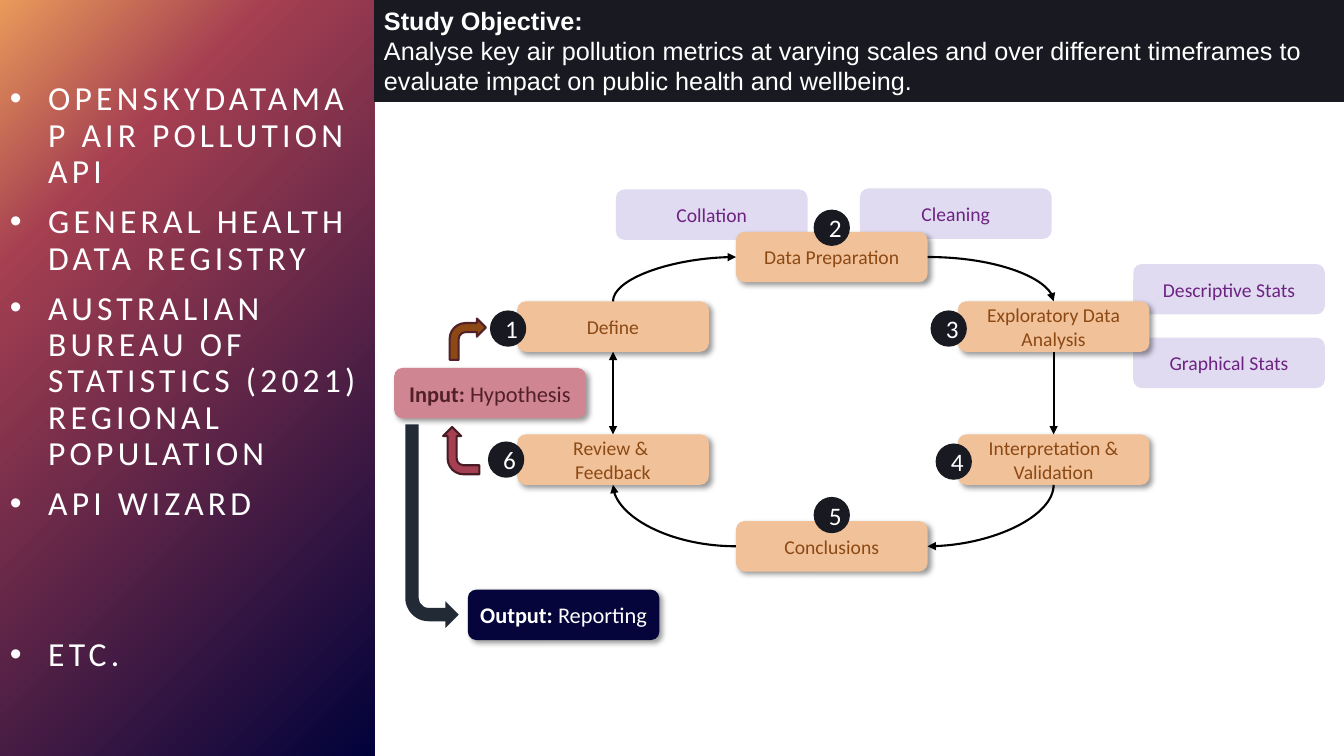
"""Build a slide of a study objective, its data sources and its analysis cycle."""
from lxml import etree
from pptx import Presentation
from pptx.dml.color import RGBColor
from pptx.enum.shapes import MSO_CONNECTOR, MSO_SHAPE
from pptx.enum.text import MSO_ANCHOR, PP_ALIGN
from pptx.oxml import parse_xml
from pptx.oxml.ns import qn
from pptx.util import Inches, Pt

RECT, ROUND = MSO_SHAPE.RECTANGLE, MSO_SHAPE.ROUNDED_RECTANGLE
OVAL, BENT = MSO_SHAPE.OVAL, MSO_SHAPE.BENT_ARROW
STRAIGHT, CURVE = MSO_CONNECTOR.STRAIGHT, MSO_CONNECTOR.CURVE
LEFT, CENTER = PP_ALIGN.LEFT, PP_ALIGN.CENTER
TOP, MIDDLE = MSO_ANCHOR.TOP, MSO_ANCHOR.MIDDLE

WHITE = RGBColor(0xFF, 0xFF, 0xFF)
BLACK = RGBColor(0, 0, 0)
INK = RGBColor(0x18, 0x19, 0x21)
SLATE = RGBColor(0x22, 0x2A, 0x35)
NAVY = RGBColor(0x05, 0x04, 0x3B)
LILAC = RGBColor(0x9C, 0x8D, 0xD3)
PURPLE = RGBColor(0x6D, 0x23, 0x82)
PEACH = RGBColor(0xF1, 0xC1, 0x9A)
BROWN = RGBColor(0x8C, 0x49, 0x13)
ROSE = RGBColor(0xD0, 0x85, 0x92)
RED = RGBColor(0xA5, 0x3F, 0x51)
WINE = RGBColor(0x52, 0x20, 0x29)
MAROON = RGBColor(0x48, 0x1C, 0x24)

NS = 'xmlns:a="http://schemas.openxmlformats.org/drawingml/2006/main"'
SHADOW = (f'<a:effectLst {NS}><a:outerShdw blurRad="50800" dist="38100" dir="2700000" algn="tl" '
          'rotWithShape="0"><a:srgbClr val="000000"><a:alpha val="40000"/></a:srgbClr>'
          '</a:outerShdw></a:effectLst>')
GLOW = (f'<a:gradFill {NS} rotWithShape="1"><a:gsLst>'
        '<a:gs pos="0"><a:srgbClr val="00023A"/></a:gs>'
        '<a:gs pos="76000"><a:srgbClr val="A53F51"/></a:gs>'
        '<a:gs pos="100000"><a:srgbClr val="E99A5B"/></a:gs></a:gsLst>'
        '<a:path path="circle"><a:fillToRect l="100000" t="100000"/></a:path></a:gradFill>')
WIDE, HIGH, DOT = 1.9, 0.5, 0.36

deck = Presentation()
deck.slide_width, deck.slide_height = Inches(13.33), Inches(7.5)
slide = deck.slides.add_slide(deck.slide_layouts[6])


def draw(kind, x, y, w, h, fill, edge=None):
    shape = slide.shapes.add_shape(kind, Inches(x), Inches(y), Inches(w), Inches(h))
    shape.shadow.inherit = False
    shape.fill.solid()
    shape.fill.fore_color.rgb = fill
    if edge is None:
        shape.line.fill.background()
    else:
        shape.line.color.rgb = edge
        shape.line.width = Pt(1.5)
    return shape


def write(shape, lines, size, color, font="Calibri", align=CENTER, anchor=MIDDLE, inset=None):
    frame = shape.text_frame
    frame.word_wrap = True
    frame.vertical_anchor = anchor
    if inset is not None:
        frame.margin_left = frame.margin_right = Inches(inset)
        frame.margin_top = frame.margin_bottom = Inches(inset)
    for i, line in enumerate(lines):
        para = frame.add_paragraph() if i else frame.paragraphs[0]
        para.alignment = align
        for text, bold in line:
            run = para.add_run()
            run.text = text
            run.font.size, run.font.name = Pt(size), font
            run.font.bold = bold
            run.font.color.rgb = color


panel = draw(RECT, 0, 0, 3.71, 7.5, NAVY)
solid = panel._element.spPr.find(qn("a:solidFill"))
solid.getparent().replace(solid, parse_xml(GLOW))
feeds = ["OPENSKYDATAMAP AIR POLLUTION API", "GENERAL HEALTH DATA REGISTRY",
         "AUSTRALIAN BUREAU OF STATISTICS (2021) REGIONAL POPULATION", "API WIZARD", "ETC."]
write(panel, [[(feed, False)] for feed in feeds], 24, WHITE, align=LEFT)
for para in panel.text_frame.paragraphs:
    para.line_spacing = 0.9
    para.space_before = Pt(10)
    props = para._p.get_or_add_pPr()
    props.set("marL", str(Inches(0.38)))
    props.set("indent", str(-Inches(0.38)))
    etree.SubElement(props, qn("a:buFont")).set("typeface", "Arial")
    etree.SubElement(props, qn("a:buChar")).set("char", "•")
    para.runs[0].font._element.set("spc", "300")
para.space_before = Pt(82)

for text, x, y in [("Collation", 6.11, 1.88), ("Cleaning", 8.53, 1.87),
                   ("Descriptive Stats", 11.24, 2.62), ("Graphical Stats", 11.24, 3.35)]:
    tag = draw(ROUND, x, y, WIDE, HIGH, LILAC)
    tint = tag._element.spPr.find(qn("a:solidFill"))[0]
    etree.SubElement(tint, qn("a:alpha")).set("val", "31000")
    write(tag, [[(text, False)]], 14, PURPLE, inset=0)

steps = [(["Define"], 5.13, 2.99), (["Data Preparation"], 7.3, 2.3),
         (["Exploratory Data Analysis"], 9.5, 2.99), (["Interpretation & Validation"], 9.5, 4.31),
         (["Conclusions"], 7.3, 5.17), (["Review & ", "Feedback"], 5.13, 4.31)]
cards = [([[(text, False)] for text in texts], x, y, 14, PEACH, BROWN) for texts, x, y in steps]
cards += [([[("Output: ", True), ("Reporting", False)]], 4.64, 5.85, 16, NAVY, WHITE),
          ([[("Input: ", True), ("Hypothesis", False)]], 3.91, 3.65, 16, ROSE, WINE)]
for lines, x, y, size, fill, color in cards:
    card = draw(ROUND, x, y, WIDE, HIGH, fill)
    blank = card._element.spPr.find(qn("a:effectLst"))
    blank.getparent().replace(blank, parse_xml(SHADOW))
    write(card, lines, size, color, inset=0)

for kind, x1, y1, x2, y2, ends in [
        (CURVE, 9.2, 2.55, 10.45, 2.99, ["tailEnd"]),
        (CURVE, 9.2, 5.42, 10.45, 4.81, ["headEnd"]),
        (STRAIGHT, 10.45, 3.49, 10.45, 4.31, ["tailEnd"]),
        (CURVE, 7.3, 5.42, 6.08, 4.81, ["tailEnd"]),
        (STRAIGHT, 6.08, 4.31, 6.08, 3.49, ["headEnd", "tailEnd"]),
        (CURVE, 7.3, 2.55, 6.08, 2.99, ["headEnd"])]:
    link = slide.shapes.add_connector(kind, Inches(x1), Inches(y1), Inches(x2), Inches(y2))
    link.line.color.rgb = BLACK
    link.line.width = Pt(1.5)
    props = link._element.spPr
    if kind == CURVE:
        props.find(qn("a:prstGeom")).set("prst", "curvedConnector2")
    for end in ends:
        etree.SubElement(props.find(qn("a:ln")), qn("a:" + end)).set("type", "triangle")
    etree.SubElement(props, qn("a:effectLst"))

spots = [(4.86, 3.08), (8.07, 2.08), (9.23, 3.08), (9.28, 4.4), (8.07, 4.93), (4.84, 4.38)]
for num, (x, y) in enumerate(spots, 1):
    write(draw(OVAL, x, y, DOT, DOT, INK), [[(str(num), False)]], 18, WHITE)

report = draw(BENT, 4.02, 4.21, 0.53, 2.02, SLATE)
report._element.spPr.find(qn("a:xfrm")).set("flipV", "1")
draw(BENT, 4.34, 4.29, 0.47, 0.36, RED, MAROON).rotation = 270
draw(BENT, 4.46, 3.16, 0.36, 0.41, BROWN, WINE)

goal = [[("Study Objective:", True)],
        [("Analyse key air pollution metrics at varying scales and over different timeframes "
          "to evaluate impact on public health and wellbeing.", False)]]
write(draw(RECT, 3.71, 0, 9.62, 1.01, INK), goal, 18, WHITE, "Arial", LEFT, TOP)

deck.save("out.pptx")
